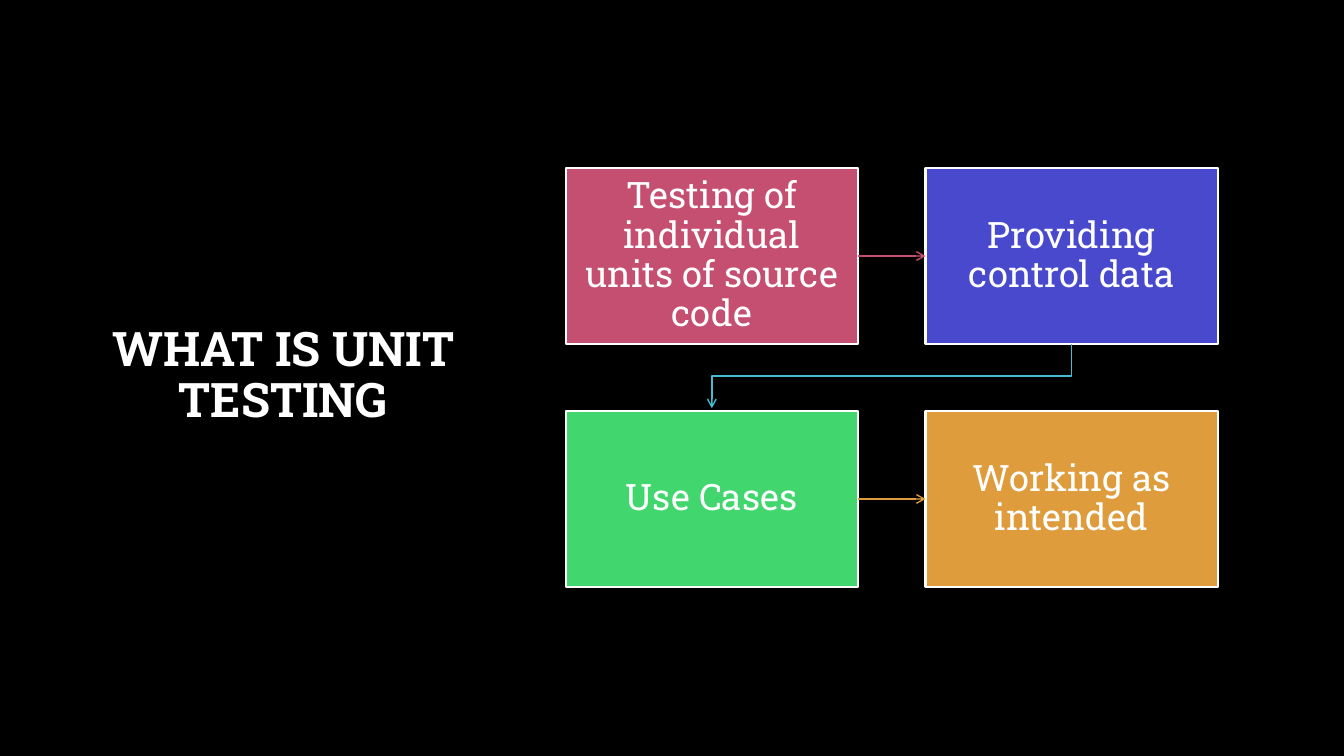
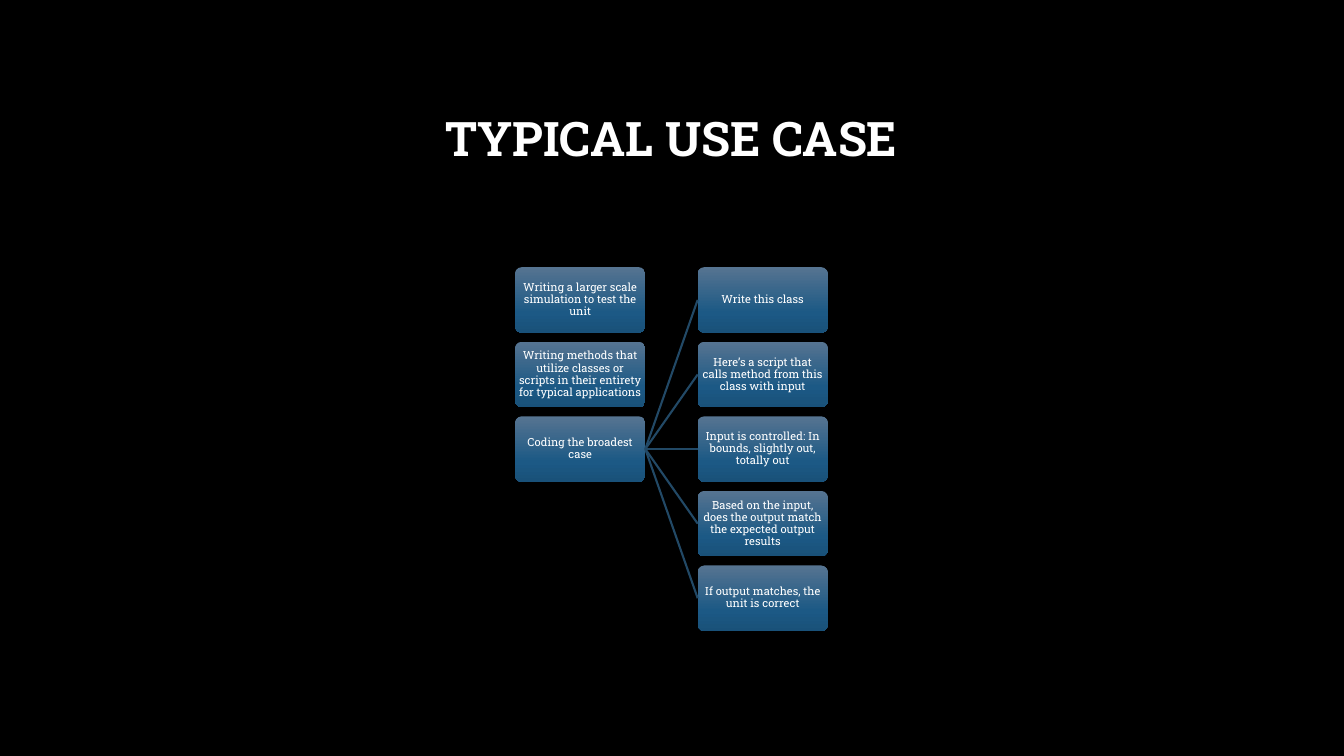
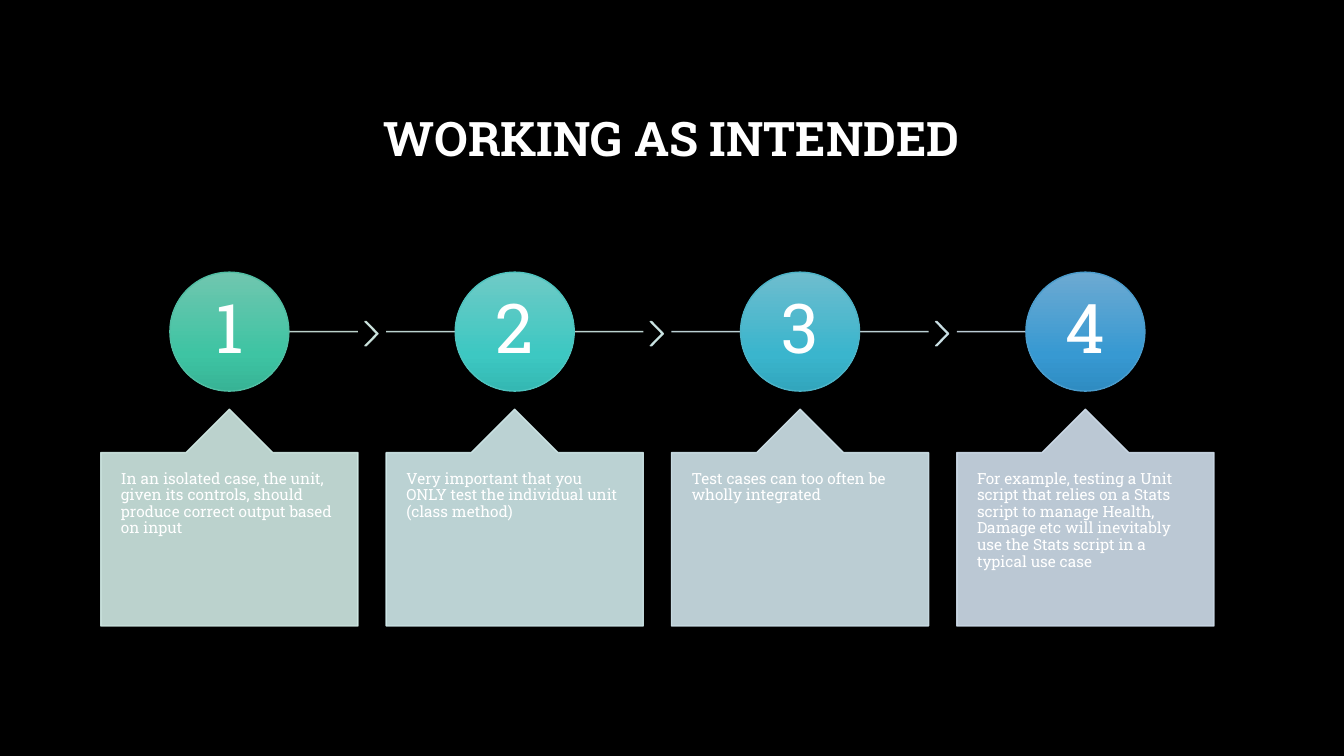
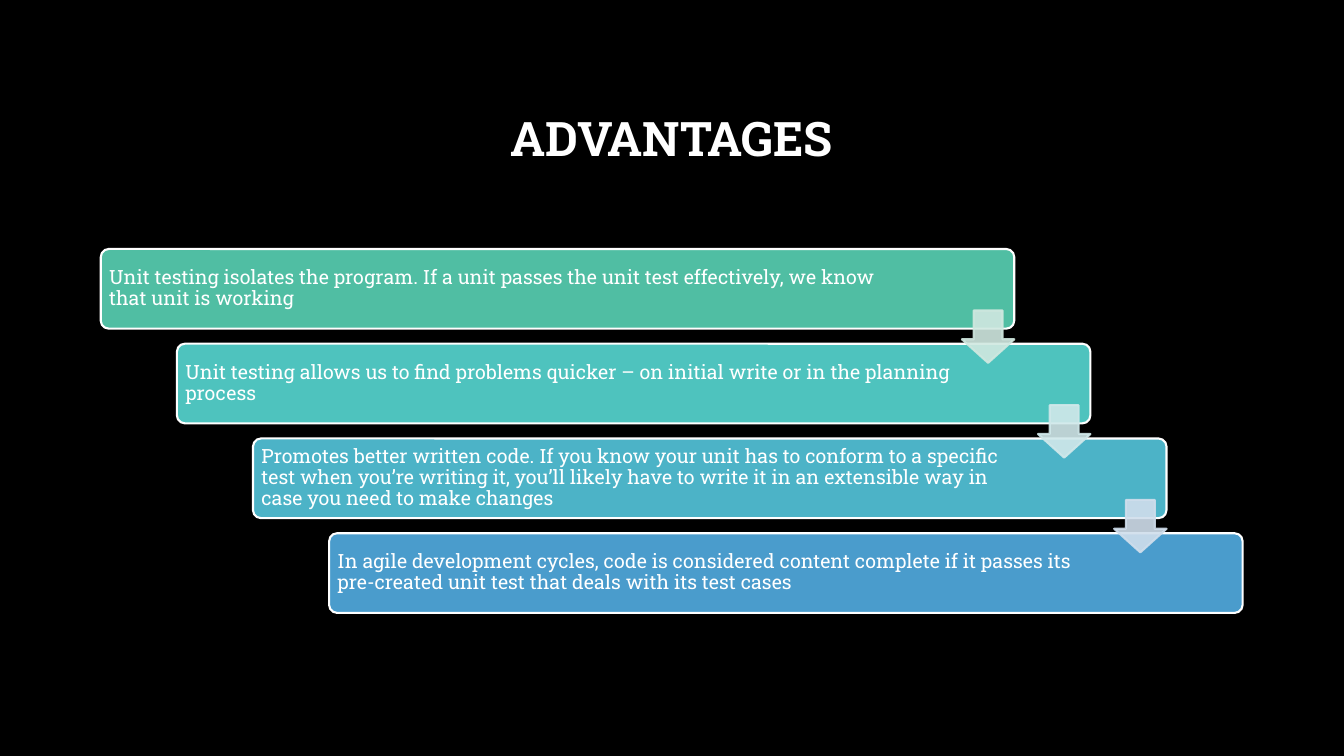
from lxml import etree
from pptx import Presentation
from pptx.dml.color import RGBColor
from pptx.enum.shapes import MSO_CONNECTOR, MSO_SHAPE
from pptx.enum.text import MSO_ANCHOR, MSO_AUTO_SIZE, PP_ALIGN
from pptx.oxml.ns import qn
from pptx.util import Inches, Pt

STRAIGHT, ELBOW = MSO_CONNECTOR.STRAIGHT, MSO_CONNECTOR.ELBOW
RECTANGLE, ROUNDED = MSO_SHAPE.RECTANGLE, MSO_SHAPE.ROUNDED_RECTANGLE
CIRCLE, CHEVRON = MSO_SHAPE.OVAL, MSO_SHAPE.CHEVRON
CALLOUT, DOWN_ARROW = MSO_SHAPE.UP_ARROW_CALLOUT, MSO_SHAPE.DOWN_ARROW
LEFT, CENTER = PP_ALIGN.LEFT, PP_ALIGN.CENTER
TOP, MIDDLE = MSO_ANCHOR.TOP, MSO_ANCHOR.MIDDLE
SIDE_TOP, SIDE_LEFT, SIDE_BOTTOM, SIDE_RIGHT = range(4)

FONT = "Roboto Slab"
COLORS = {
    "background": "000000", "text": "FFFFFF",
    "rose": "C54F71", "indigo": "4949CD", "green": "42D66E",
    "orange": "DE9C3C", "cyan": "45BCD2", "link": "224966",
    "mint": "50BEA3", "teal": "4EC3BE", "sky": "4CB3C7", "blue": "4A9CCC",
}
TITLE_AT = (1, 0.67, 11.32, 1.45)
SIDE_TITLE_AT = (0.82, 0.67, 3.98, 6.13)
STOPS = (0, 69, 100)
BOX_GRADIENT = ("567491", "1C5985", "195179")

DEFINITION = [
    ("Testing of individual units of source code", "rose"),
    ("Providing control data", "indigo"),
    ("Use Cases", "green"),
    ("Working as intended", "orange"),
]
CASES = [
    "Writing a larger scale simulation to test the unit",
    "Writing methods that utilize classes or scripts in their entirety for typical applications",
    "Coding the broadest case",
]
CASE_STEPS = [
    "Write this class",
    "Here’s a script that calls method from this class with input",
    "Input is controlled: In bounds, slightly out, totally out",
    "Based on the input, does the output match the expected output results",
    "If output matches, the unit is correct",
]
# text, circle gradient, circle outline, then tints of line, chevron and callout
INTENTIONS = [
    ("In an isolated case, the unit, given its controls, should produce correct output based on input",
     ("70C6AF", "3EC4A3", "37B395"), "mint", ("D0E8E0", "D0E8E2", "D0E9E4")),
    ("Very important that you ONLY test the individual unit (class method)",
     ("6FCAC6", "3DC8C2", "34B8B3"), "teal", ("D0E9E6", "D0EAE9", "D0E9EA")),
    ("Test cases can too often be wholly integrated",
     ("6EBDCE", "3AB5CD", "32A6BD"), "sky", ("D0E7EA", "D0E6EB", "D0E4EB")),
    ("For example, testing a Unit script that relies on a Stats script to manage Health, "
     "Damage etc will inevitably use the Stats script in a typical use case",
     ("6DAAD2", "3799D2", "2F8CC2"), "blue", ("D0E2EC", None, "D0DEEC")),
]
# text, fill, space right of the text, tint of the arrow to the next bar
ADVANTAGES = [
    ("Unit testing isolates the program. If a unit passes the unit test effectively, "
     "we know that unit is working", "mint", 0.95, "D0E8E0"),
    ("Unit testing allows us to find problems quicker – on initial write or in the "
     "planning process", "teal", 1.34, "D0E8EA"),
    ("Promotes better written code. If you know your unit has to conform to a specific test "
     "when you’re writing it, you’ll likely have to write it in an extensible way in case "
     "you need to make changes", "sky", 1.33, "D0DEEC"),
    ("In agile development cycles, code is considered content complete if it passes its "
     "pre-created unit test that deals with its test cases", "blue", 1.34, None),
]


def rgb(color):
    return RGBColor.from_string(COLORS.get(color, color))


def inches(values):
    return [Inches(value) for value in values]


def write(box, text, size, bold=False, align=CENTER, anchor=MIDDLE, margins=None):
    """Set the single paragraph of a shape; margins are left, top, right, bottom."""
    frame = box.text_frame
    frame.text = text
    frame.word_wrap = True
    frame.auto_size = MSO_AUTO_SIZE.NONE
    frame.vertical_anchor = anchor
    if margins:
        for side, margin in zip(("left", "top", "right", "bottom"), margins):
            setattr(frame, f"margin_{side}", Inches(margin))
    para = frame.paragraphs[0]
    para.alignment, para.line_spacing = align, 0.9
    font = para.runs[0].font
    for name, value in {"name": FONT, "size": Pt(size), "bold": bold}.items():
        setattr(font, name, value)
    font.color.rgb = rgb("text")


def add_page(deck, layout, title, at=None):
    page = deck.slides.add_slide(layout)
    heading = page.shapes.title
    if at:
        place(heading, at)
    write(heading, title, 34, bold=True)
    return page


def place(box, at):
    box.left, box.top, box.width, box.height = inches(at)


def fill_gradient(box, colors):
    box.fill.gradient()
    box.fill.gradient_angle = 270
    stops = box._element.spPr.find(".//" + qn("a:gsLst"))
    for stop in list(stops):
        stops.remove(stop)
    for position, color in zip(STOPS, colors):
        stop = etree.SubElement(stops, qn("a:gs"), pos=str(position * 1000))
        etree.SubElement(stop, qn("a:srgbClr"), val=color)


def fade(item):
    """Make every colour of a shape or line 90 % opaque."""
    for color in item._element.spPr.iter(qn("a:srgbClr")):
        etree.SubElement(color, qn("a:alpha"), val="90000")


def add_box(page, kind, at, fill, outline=None, width=1.5, adjust=()):
    """Add a preset shape; fill is one colour or a tuple of gradient colours."""
    box = page.shapes.add_shape(kind, *inches(at))
    box.shadow.inherit = False
    for index, value in enumerate(adjust):
        box.adjustments[index] = value
    if isinstance(fill, tuple):
        fill_gradient(box, fill)
    else:
        box.fill.solid()
        box.fill.fore_color.rgb = rgb(fill)
    if outline:
        box.line.color.rgb = rgb(outline)
        box.line.width = Pt(width)
    else:
        box.line.fill.background()
    return box


def add_line(page, ends, color, width=1, kind=STRAIGHT, arrow=False):
    line = page.shapes.add_connector(kind, *inches(ends))
    line.line.color.rgb = rgb(color)
    line.line.width = Pt(width)
    if arrow:
        etree.SubElement(line.line._get_or_add_ln(), qn("a:tailEnd"), type="arrow")
    etree.SubElement(line._element.spPr, qn("a:effectLst"))
    return line


def join(page, first, second, color, **style):
    """Link the right side of one box to the left side of another."""
    line = add_line(page, (0, 0, 1, 1), color, **style)
    line.begin_connect(first, SIDE_RIGHT)
    line.end_connect(second, SIDE_LEFT)


def build_definition(deck, layout):
    page = add_page(deck, layout, "WHAT IS UNIT TESTING", SIDE_TITLE_AT)
    left, top, width, height, column, row = 5.61, 1.67, 2.9, 1.74, 3.57, 2.41
    boxes = []
    for index, (text, color) in enumerate(DEFINITION):
        at = (left + index % 2 * column, top + index // 2 * row, width, height)
        box = add_box(page, RECTANGLE, at, color, "text")
        write(box, text, 26, margins=(0.14, 0.15, 0.14, 0.15))
        boxes.append(box)
    join(page, boxes[0], boxes[1], "rose", arrow=True)
    join(page, boxes[2], boxes[3], "orange", arrow=True)

    # The elbow is laid out upright about its centre, then turned a quarter.
    drop = row - height - 0.03
    x, y = left + (width + column) / 2, top + height + drop / 2
    ends = (x - drop / 2, y - column / 2, x + drop / 2, y + column / 2)
    elbow = add_line(page, ends, "cyan", kind=ELBOW, arrow=True)
    elbow._element.spPr.find(qn("a:xfrm")).set("rot", "5400000")


def build_use_case(deck, layout):
    page = add_page(deck, layout, "TYPICAL USE CASE")
    top, width, height, pitch = 2.65, 1.29, 0.65, 0.74
    columns = []
    for left, texts in ((5.11, CASES), (6.92, CASE_STEPS)):
        boxes = []
        for index, text in enumerate(texts):
            at = (left, top + index * pitch, width, height)
            box = add_box(page, ROUNDED, at, BOX_GRADIENT, adjust=(0.1,))
            write(box, text, 8, margins=(0.01,) * 4)
            boxes.append(box)
        columns.append(boxes)
    cases, steps = columns
    for step in steps:
        join(page, cases[-1], step, "link", width=1.5)


def build_intended(deck, layout):
    page = add_page(deck, layout, "WORKING AS INTENDED")
    width, pitch, size, line_y = 2.55, 2.83, 1.18, 3.29
    last = len(INTENTIONS) - 1
    for index, (text, gradient, outline, tints) in enumerate(INTENTIONS):
        line_tint, chevron_tint, callout_tint = tints
        left = 1 + index * pitch
        center = left + width / 2
        start = center if index == 0 else left
        end = center if index == last else left + width
        fade(add_line(page, (start, line_y, end, line_y), line_tint))
        if chevron_tint:
            at = (left + width + 0.07, 3.19, 0.13, 0.24)
            fade(add_box(page, CHEVRON, at, chevron_tint, chevron_tint, 1, (0.9,)))
        at = (center - size / 2, line_y - size / 2, size, size)
        circle = add_box(page, CIRCLE, at, gradient, outline, 1)
        write(circle, str(index + 1), 49, margins=(0.05,) * 4)
        callout = add_box(page, CALLOUT, (left, 4.06, width, 2.15), callout_tint,
                          callout_tint, 1, (0.5, 0.2, 0.2, 1))
        fade(callout)
        write(callout, text, 11, align=LEFT, anchor=TOP, margins=(0.2, 0.18, 0.2, 0.18))


def build_advantages(deck, layout):
    page = add_page(deck, layout, "ADVANTAGES")
    left, top, width, height, step_x, step_y = 1, 2.47, 9.06, 0.79, 0.755, 0.94
    arrow = 0.52
    arrows = []
    for index, (text, color, right_margin, tint) in enumerate(ADVANTAGES):
        x, y = left + index * step_x, top + index * step_y
        bar = add_box(page, ROUNDED, (x, y, width, height), color, "text", adjust=(0.1,))
        write(bar, text, 14, align=LEFT, margins=(0.06, 0.06, right_margin, 0.06))
        if tint:
            arrows.append(((x + width - arrow, y + 0.61, arrow, arrow), tint))
    for at, tint in arrows:
        fade(add_box(page, DOWN_ARROW, at, tint, tint, adjust=(0.55, 0.45)))


def main():
    deck = Presentation()
    deck.slide_width, deck.slide_height = Inches(13.33), Inches(7.5)
    background = deck.slide_master.background.fill
    background.solid()
    background.fore_color.rgb = rgb("background")
    layout = deck.slide_layouts.get_by_name("Title Only")
    place(layout.placeholders[0], TITLE_AT)
    for build in (build_definition, build_use_case, build_intended, build_advantages):
        build(deck, layout)
    deck.save("out.pptx")


if __name__ == "__main__":
    main()
